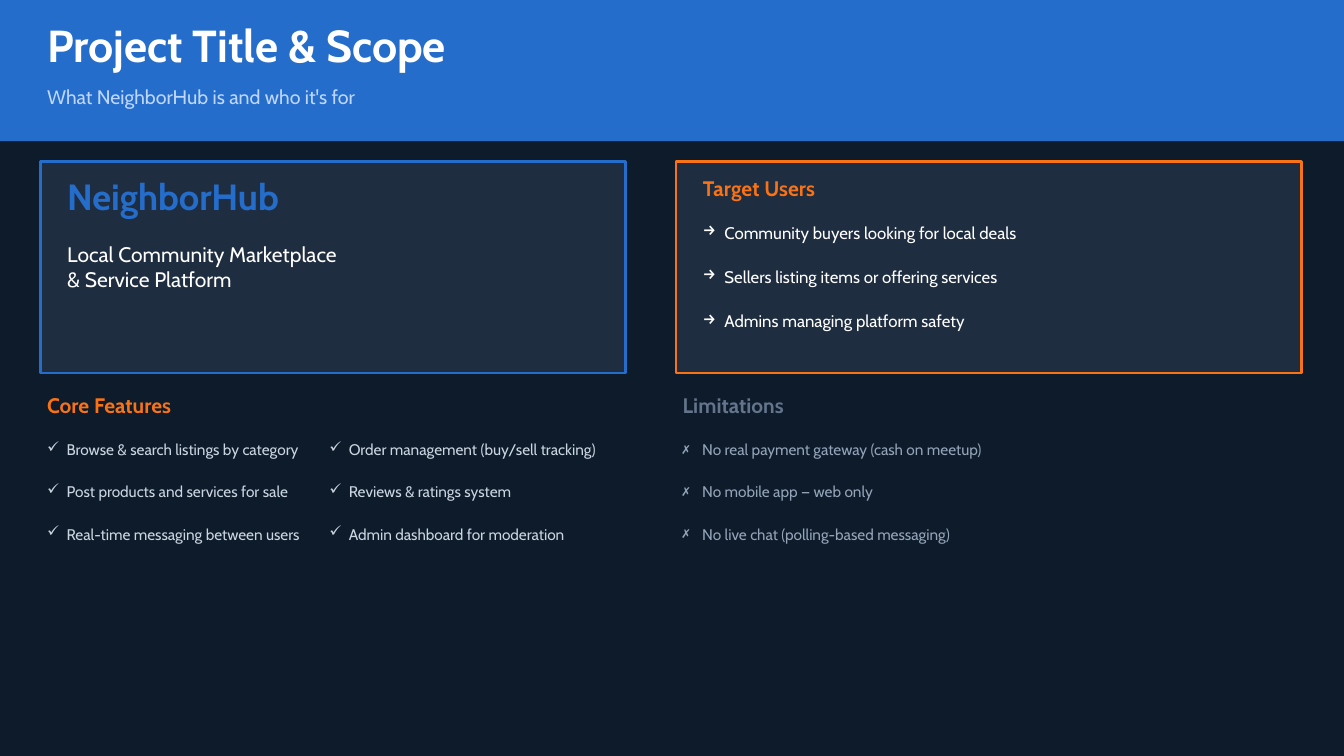
from lxml import etree
from pptx import Presentation
from pptx import util as u
from pptx.dml.color import RGBColor
from pptx.enum import shapes, text
from pptx.oxml import ns

PX = 9144  # EMU per px, at 100 px to the inch
FONT = "Cabin"
LEFT_X, RIGHT_X = 60, 1006
CARD_TOP, CARD_HEIGHT = 240, 315
HEADING_TOP, LIST_TOP = 584, 655
COLORS = {
    "night": "0D1B2A",
    "blue": "256DCA",
    "pale_blue": "BFD7FF",
    "card": "1E2D40",
    "orange": "F97316",
    "white": "FFFFFF",
    "feature": "CBD5E1",
    "limit_heading": "64748B",
    "limit": "94A3B8",
}


def rgb(name):
    return RGBColor.from_string(COLORS[name])


def place(shape, left, top, width, height):
    shape.left, shape.top = left * PX, top * PX
    shape.width, shape.height = width * PX, height * PX


def set_marker(paragraph, marker, indent):
    """Give a paragraph a hanging bullet character."""
    props = paragraph._p.get_or_add_pPr()
    props.set("marL", str(indent * PX))
    props.set("indent", str(-indent * PX))
    etree.SubElement(props, ns.qn("a:buChar")).set("char", marker)


def add_text(slide, wording, box, size, color, bold=False, marker=None,
             indent=29, holder=None):
    """Write one paragraph per line of wording, in holder or a new text box."""
    holder = holder or slide.shapes.add_textbox(0, 0, 0, 0)
    place(holder, *box)
    frame = holder.text_frame
    frame.word_wrap = True
    frame.auto_size = text.MSO_AUTO_SIZE.NONE
    frame.vertical_anchor = text.MSO_ANCHOR.TOP
    frame.margin_left = frame.margin_right = 0
    frame.margin_top = frame.margin_bottom = 0
    frame.text = wording
    for paragraph in frame.paragraphs:
        paragraph.alignment = text.PP_ALIGN.LEFT
        paragraph.line_spacing = u.Pt(size * 1.2)
        if marker:
            set_marker(paragraph, marker, indent)
        font = paragraph.font
        font.name, font.size, font.bold = FONT, u.Pt(size), bold
        font.color.rgb = rgb(color)


def add_panel(slide, box, fill, border=None):
    panel = slide.shapes.add_shape(shapes.MSO_SHAPE.RECTANGLE, 0, 0, 0, 0)
    place(panel, *box)
    panel.shadow.inherit = False
    panel.fill.solid()
    panel.fill.fore_color.rgb = rgb(fill)
    if border:
        panel.line.color.rgb = rgb(border)
        panel.line.width = u.Pt(3)
    else:
        panel.line.fill.background()
    return panel


def add_list(slide, items, box, pitch, size, color, marker, indent=29):
    """Stack one-line items at an equal pitch, starting at box."""
    left, top, width, height = box
    for row, item in enumerate(items):
        add_text(slide, item, (left, top + row * pitch, width, height), size,
                 color, marker=marker, indent=indent)


def add_header(slide):
    title = slide.shapes.title
    band = add_panel(slide, (0, 0, 2000, 210), "blue")
    band.element.addnext(title.element)  # bring the title above the band
    add_text(slide, "Project Title & Scope", (70, 26, 1856, 104), 48, "white",
             bold=True, holder=title)
    add_text(slide, "What NeighborHub is and who it's for",
             (70, 127, 1856, 55), 21, "pale_blue")


def add_product_card(slide):
    add_panel(slide, (LEFT_X, CARD_TOP, 871, CARD_HEIGHT), "card", "blue")
    left = LEFT_X + 40
    add_text(slide, "NeighborHub", (left, 259, 791, 103), 39, "blue", bold=True)
    add_text(slide, "Local Community Marketplace\n& Service Platform",
             (left, 359, 791, 131), 22.5, "white")


def add_users_card(slide):
    add_panel(slide, (RIGHT_X, CARD_TOP, 931, CARD_HEIGHT), "card", "orange")
    left = RIGHT_X + 40
    add_text(slide, "Target Users", (left, 261, 851, 64), 22.5, "orange",
             bold=True)
    users = ["Community buyers looking for local deals",
             "Sellers listing items or offering services",
             "Admins managing platform safety"]
    add_list(slide, users, (left, 331, 851, 54), 66, 18, "white", "→", 32)


def add_features(slide):
    left = LEFT_X + 10
    add_text(slide, "Core Features", (left, HEADING_TOP, 851, 56), 22.5,
             "orange", bold=True)
    columns = [
        ["Browse & search listings by category",
         "Post products and services for sale",
         "Real-time messaging between users"],
        ["Order management (buy/sell tracking)",
         "Reviews & ratings system",
         "Admin dashboard for moderation"],
    ]
    for column, features in enumerate(columns):
        add_list(slide, features, (left + column * 420, LIST_TOP, 415, 50),
                 63, 16.5, "feature", "✓")


def add_limitations(slide):
    left = RIGHT_X + 10
    add_text(slide, "Limitations", (left, HEADING_TOP, 911, 56), 22.5,
             "limit_heading", bold=True)
    limits = ["No real payment gateway (cash on meetup)",
              "No mobile app — web only",
              "No live chat (polling-based messaging)"]
    add_list(slide, limits, (left, LIST_TOP, 911, 50), 63, 16.5, "limit", "✗")


def main():
    deck = Presentation()
    deck.slide_width, deck.slide_height = 2000 * PX, 1125 * PX
    slide = deck.slides.add_slide(deck.slide_layouts.get_by_name("Title Only"))
    slide.background.fill.solid()
    slide.background.fill.fore_color.rgb = rgb("night")

    add_header(slide)
    # Upper row: cards
    add_product_card(slide)
    add_users_card(slide)
    # Lower row: lists
    add_features(slide)
    add_limitations(slide)
    deck.save("out.pptx")


if __name__ == "__main__":
    main()
